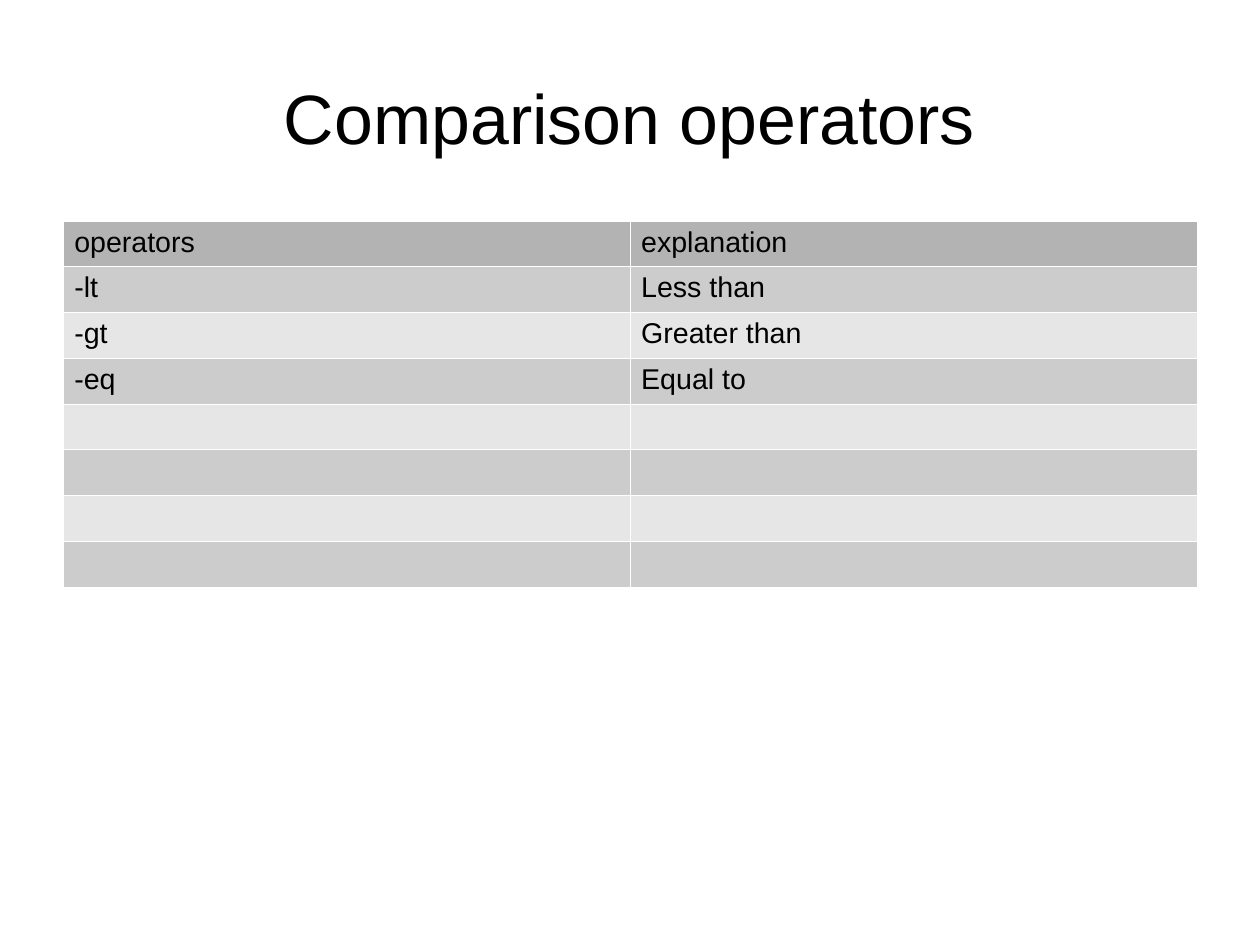
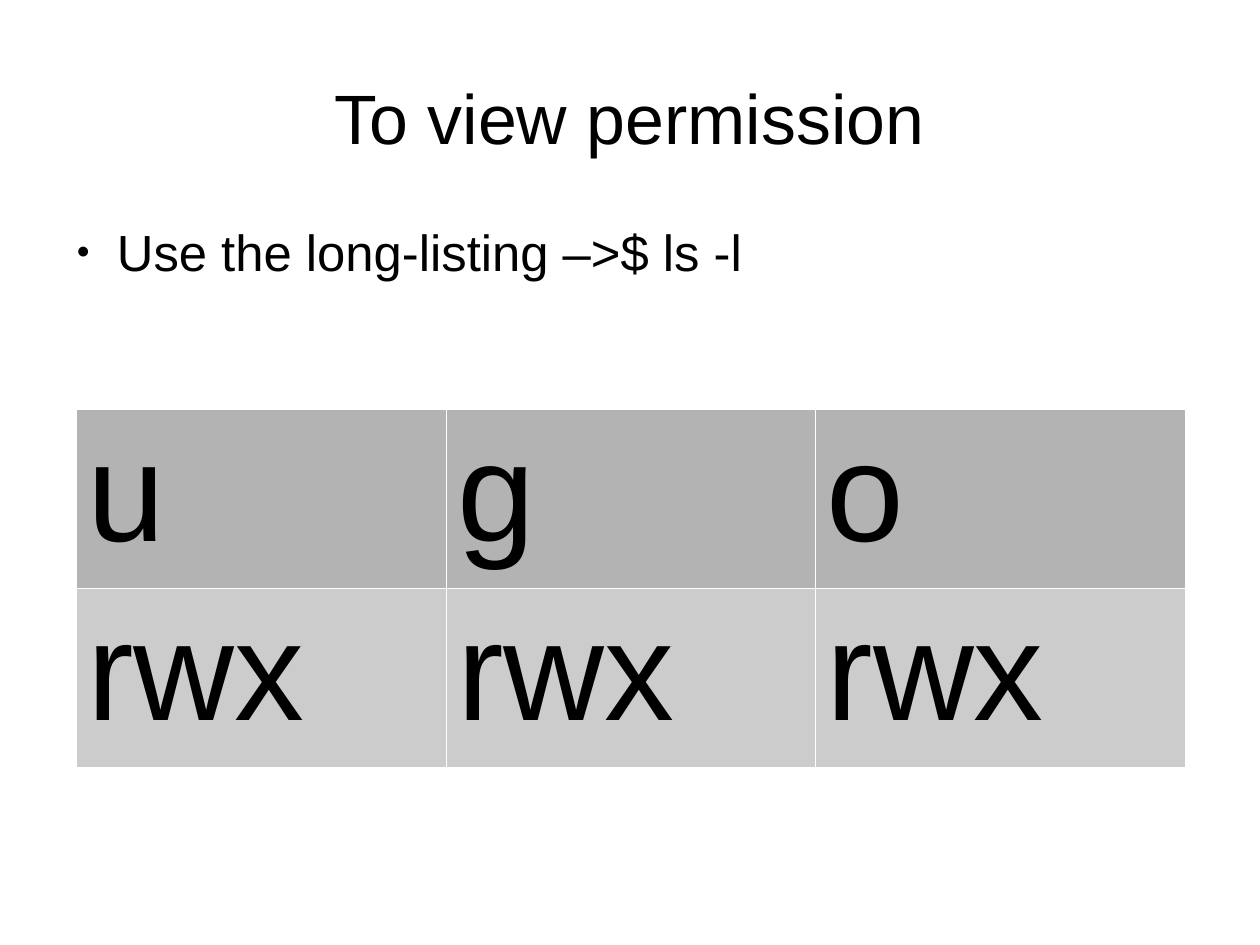
from lxml import etree
from pptx import Presentation
from pptx import util as u
from pptx.dml import color
from pptx.enum import text
from pptx.oxml import ns

Pt = u.Pt
FONT, INK, WHITE = "Arial", "000000", "FFFFFF"
HEADER, BANDS = "B3B3B3", ("CCCCCC", "E6E6E6")
LEFT, WIDTH, BODY_TOP = 39.6, 714.24, 138.96


def paint(target, value):
    if hasattr(target, "solid"):
        target.solid()
        target = target.fore_color
    target.rgb = color.RGBColor.from_string(value)


def write(frame, wording, size, formats):
    for name, value in formats.items():
        setattr(frame, name, value)
    para = frame.paragraphs[0]
    span = para.add_run()
    span.text = wording
    for name, value in {"name": FONT, "size": Pt(size)}.items():
        setattr(span.font, name, value)
    paint(span.font.color, INK)
    return para


deck = Presentation()
deck.slide_width, deck.slide_height = Pt(793.7), Pt(595.28)

flush = {"word_wrap": True}
flush.update({f"margin_{side}": 0 for side in ("left", "top", "right", "bottom")})

pages = [
    {
        "title": "Comparison operators",
        "bullet": None,
        "place": (LEFT, BODY_TOP, WIDTH, 220.32),
        "row_height": 26.64,
        "size": 18,
        "rows": [
            ("operators", "explanation"),
            ("-lt", "Less than"),
            ("-gt", "Greater than"),
            ("-eq", "Equal to"),
        ] + [("", "")] * 4,
    },
    {
        "title": "To view permission",
        "bullet": "Use the long-listing –>$ ls -l",
        "place": (47.9, 257.76, 698.4, 211.68),
        "row_height": 100.8,
        "size": 88,
        "rows": [("u", "g", "o"), ("rwx",) * 3],
    },
]

for content in pages:
    page = deck.slides.add_slide(deck.slide_layouts[6])
    paint(page.background.fill, WHITE)

    title_box = page.shapes.add_textbox(Pt(LEFT), Pt(23.76), Pt(WIDTH), Pt(99.36))
    title = write(title_box.text_frame, content["title"], 44,
                  flush | {"vertical_anchor": text.MSO_ANCHOR.MIDDLE})
    title.alignment = text.PP_ALIGN.CENTER

    if content["bullet"]:
        body = page.shapes.add_textbox(Pt(LEFT), Pt(BODY_TOP), Pt(WIDTH), Pt(344.88))
        para = write(body.text_frame, content["bullet"], 32, flush)
        properties = para._p.get_or_add_pPr()
        properties.set("marL", str(Pt(34)))
        properties.set("indent", str(Pt(-25.5)))
        bullet_color = etree.SubElement(properties, ns.qn("a:buClr"))
        etree.SubElement(bullet_color, ns.qn("a:srgbClr"), val=INK)
        etree.SubElement(properties, ns.qn("a:buSzPct"), val="45000")
        etree.SubElement(properties, ns.qn("a:buFont"), typeface=FONT)
        etree.SubElement(properties, ns.qn("a:buChar"), char="●")

    rows = content["rows"]
    left, top, width, height = content["place"]
    holder = page.shapes.add_table(len(rows), len(rows[0]), Pt(left), Pt(top),
                                   Pt(width), Pt(height))
    table = holder.table
    table.first_row = table.horz_banding = False
    for column in table.columns:
        column.width = Pt(width / len(rows[0]))

    for index, wordings in enumerate(rows):
        table.rows[index].height = Pt(content["row_height"])
        fill = BANDS[(index - 1) % 2] if index else HEADER
        for cell, wording in zip(table.rows[index].cells, wordings):
            properties = cell._tc.get_or_add_tcPr()
            for edge in ("lnL", "lnR", "lnT", "lnB"):
                line = etree.SubElement(properties, ns.qn(f"a:{edge}"), w=str(Pt(0.06)))
                line_fill = etree.SubElement(line, ns.qn("a:solidFill"))
                etree.SubElement(line_fill, ns.qn("a:srgbClr"), val=WHITE)
            paint(cell.fill, fill)
            if wording:
                write(cell.text_frame, wording, content["size"], {})
    holder.height = Pt(height)

deck.save("out.pptx")
